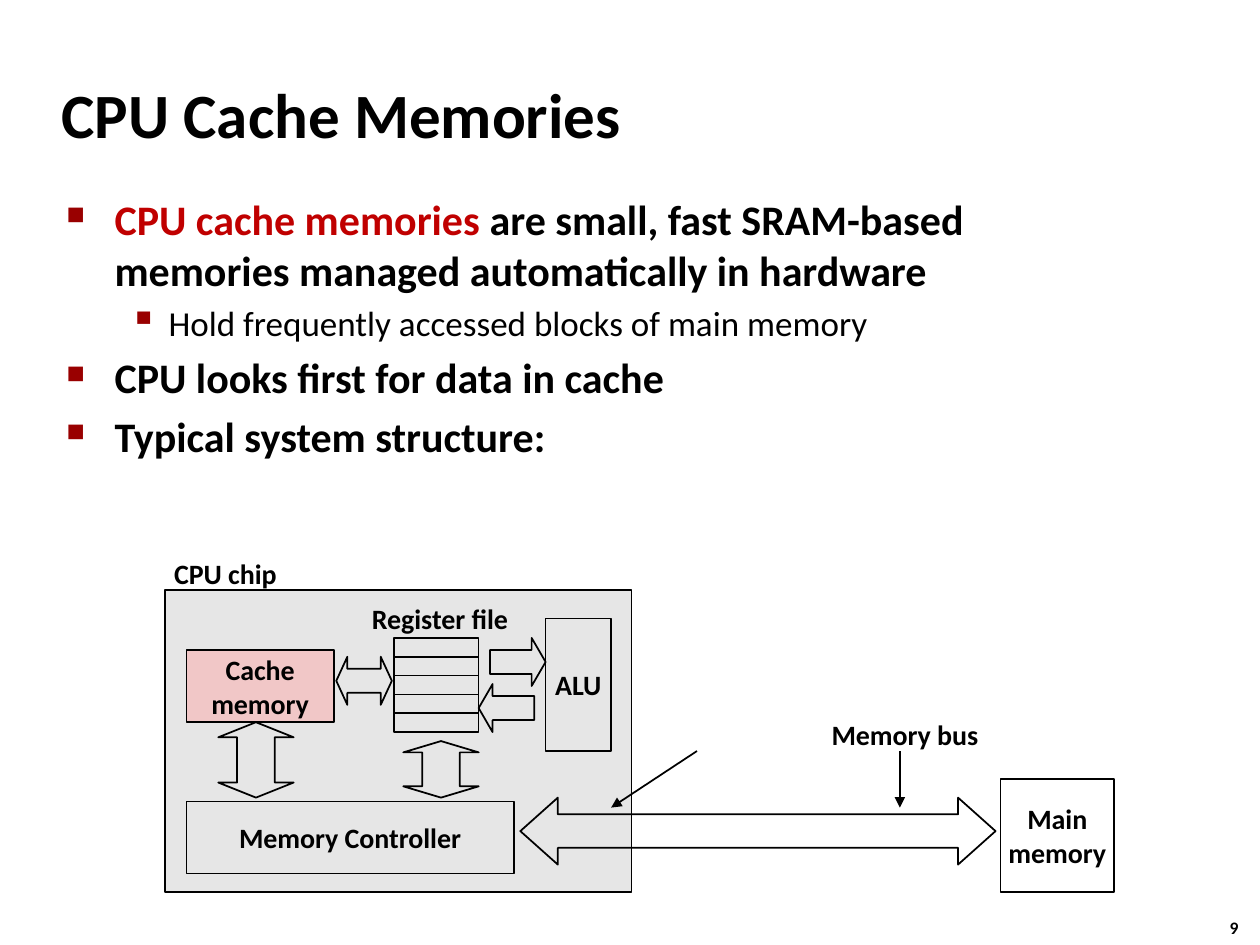
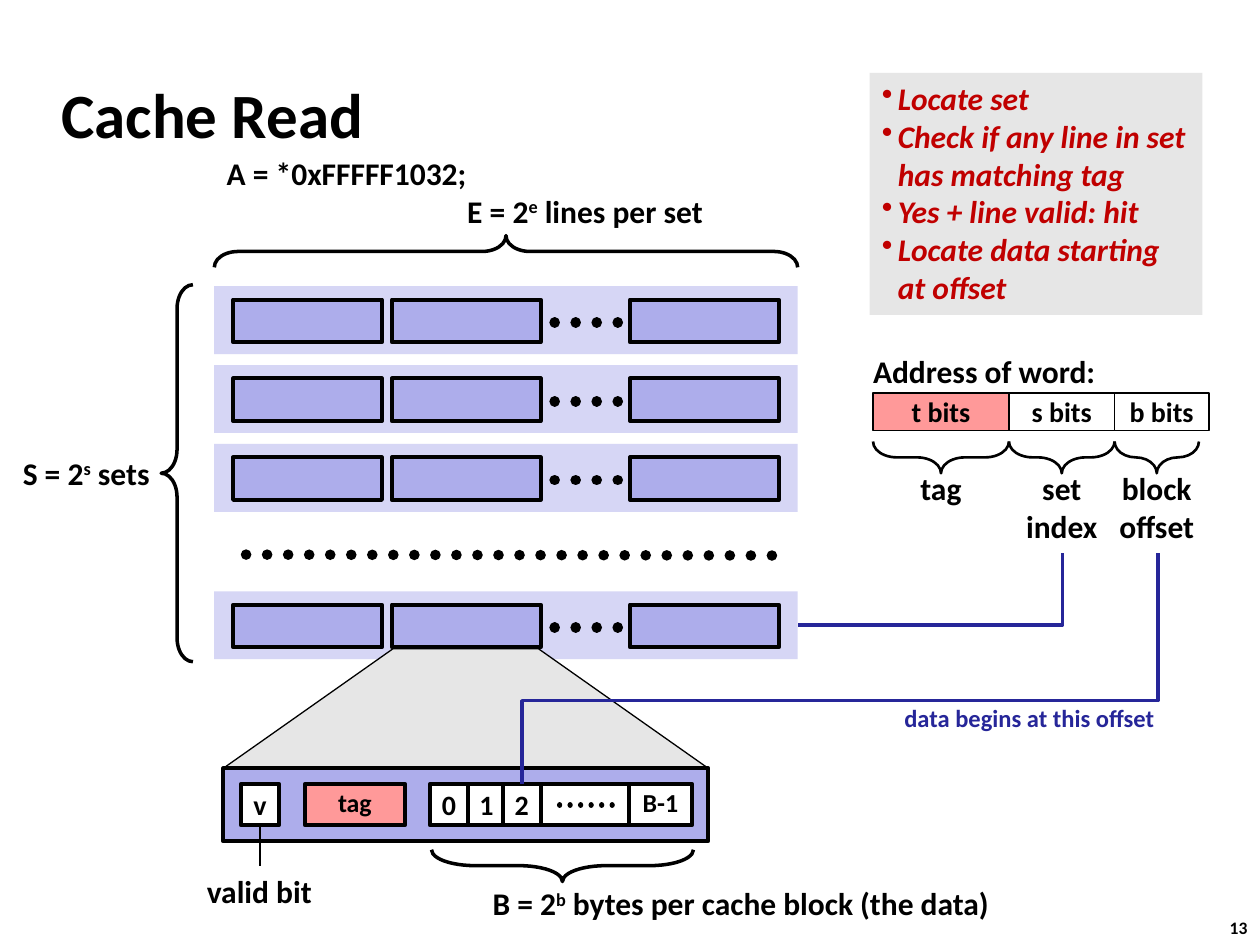
"""Build two slides on CPU cache memories and reading a cache."""
from lxml import etree
from pptx import Presentation
from pptx import util as u
from pptx.dml import color as col
from pptx.enum import dml, shapes, text
from pptx.oxml import ns

BLACK = col.RGBColor(0x00, 0x00, 0x00)
WHITE = col.RGBColor(0xFF, 0xFF, 0xFF)
GREY = col.RGBColor(0xE6, 0xE6, 0xE6)
RED = col.RGBColor(0xC0, 0x00, 0x00)
PINK = col.RGBColor(0xF1, 0xC7, 0xC7)
ROSE = col.RGBColor(0xFF, 0x99, 0x99)
LILAC = col.RGBColor(0xAD, 0xAD, 0xEB)
PALE = col.RGBColor(0xD6, 0xD6, 0xF5)
NAVY = col.RGBColor(0x26, 0x26, 0x99)
MARK = "990000"

KIND = shapes.MSO_SHAPE
LINK = shapes.MSO_CONNECTOR
LEFT, MID = text.PP_ALIGN.LEFT, text.PP_ALIGN.CENTER
FONT = {"name": "Calibri", "size": 16, "bold": True, "italic": False}


def style(item, vals):
    """Set each attribute named in a dict."""
    for key, val in vals.items():
        setattr(item, key, val)


def node(root, tag, **vals):
    """Append a drawing element with the given attributes."""
    return etree.SubElement(root, ns.qn("a:" + tag), vals)


def paint(para, color=BLACK, **vals):
    """Give every run of a paragraph the same font."""
    form = {**FONT, **vals}
    form["size"] = u.Pt(form["size"])
    for run in para.runs:
        style(run.font, form)
        run.font.color.rgb = color


def write(item, lines, align=MID, wrap=False, mid=True, **vals):
    """Write paragraphs, raising the parts set between carets."""
    frame = item.text_frame
    anchor = text.MSO_ANCHOR.MIDDLE if mid else text.MSO_ANCHOR.TOP
    style(frame, {"word_wrap": wrap, "vertical_anchor": anchor})
    for i, line in enumerate(lines):
        para = frame.add_paragraph() if i else frame.paragraphs[0]
        para.alignment = align
        para.text, *rest = line.split("^")
        for j, part in enumerate(rest):
            run = para.add_run()
            run.text = part
            if j % 2 == 0:
                run.font._element.set("baseline", "30000")
        paint(para, **vals)


def bullet(para, char, left, hang, pct=None):
    """Give a paragraph a hanging bullet."""
    props = para._p.get_or_add_pPr()
    props.set("marL", str(u.Cm(left)))
    props.set("indent", str(-u.Cm(hang)))
    if pct:
        node(node(props, "buClr"), "srgbClr", val=MARK)
        node(props, "buSzPct", val=str(pct * 1000))
    node(props, "buChar", char=char)


def spot(box, *dims):
    """Turn a place inside a box into slide lengths."""
    x, y, *size = dims
    return [u.Cm(v) for v in (box[0] + x, box[1] + y, *size)]


def shape(on, box, dims, kind=KIND.RECTANGLE, fill=None, edge=1, adj=(), turn=0, lines=(), **vals):
    """Draw a preset shape that fills its place after a quarter turn."""
    if turn:
        x, y, w, h = dims
        dims = (x + (w - h) / 2, y + (h - w) / 2, h, w)
    item = on.add_shape(kind, *spot(box, *dims))
    item.rotation = turn
    item.shadow.inherit = False
    if fill is None:
        item.fill.background()
    else:
        item.fill.solid()
        item.fill.fore_color.rgb = fill
    if edge:
        item.line.color.rgb = BLACK
        item.line.width = u.Pt(edge)
    else:
        item.line.fill.background()
    for i, val in enumerate(adj):
        item.adjustments[i] = val
    if lines:
        write(item, lines, **vals)
    return item


def label(on, box, dims, *lines, **vals):
    """Add a text box."""
    item = on.add_textbox(*spot(box, *dims))
    write(item, lines, **{"align": LEFT, "mid": False, "size": 18, **vals})
    return item


def brace(on, box, dims, turn=0, edge=2, bend=0.75):
    """Draw a brace, turned if wanted."""
    shape(on, box, dims, KIND.LEFT_BRACE, edge=edge, adj=(bend, 0.5), turn=turn)


def line(on, box, start, end, edge=1, color=BLACK, head=False, dots=False, kind=LINK.STRAIGHT):
    """Draw a connector, with an arrowhead or as round dots."""
    item = on.add_connector(kind, *spot(box, *start), *spot(box, *end))
    node(item._element.spPr, "effectLst")
    item.line.color.rgb = color
    item.line.width = u.Pt(edge)
    stroke = item._element.spPr.find(ns.qn("a:ln"))
    if dots:
        item.line.dash_style = dml.MSO_LINE.ROUND_DOT
        stroke.set("cap", "rnd")
    if head:
        node(stroke, "tailEnd", type="triangle")
    return item


def elbow(on, box, start, end, bend=None):
    """Draw an elbow that leaves downward and ends lower on the left."""
    (x, y), (left, low) = start, end
    w, h = low - y, x - left
    cx, cy = (x + left) / 2, (y + low) / 2
    item = line(on, box, (cx - w / 2, cy - h / 2), (cx + w / 2, cy + h / 2),
                2, NAVY, kind=LINK.ELBOW)
    props = item._element.spPr
    props.find(ns.qn("a:xfrm")).set("rot", "5400000")
    geom = props.find(ns.qn("a:prstGeom"))
    if bend is None:
        geom.set("prst", "bentConnector2")
    else:
        for old in list(geom):
            geom.remove(old)
        node(node(geom, "avLst"), "gd", name="adj1", fmla=f"val {round(bend * 100000)}")


def base(deck, title, num):
    """Start a slide with its title and page number."""
    on = deck.slides.add_slide(deck.slide_layouts[6]).shapes
    label(on, (0.99, 1.22), (0, 0, 21.08, 2.11), title, size=36, mid=True, wrap=True)
    label(on, (24.54, 18.36), (0, 0, 0.94, 0.69), num, size=10)
    return on


def points(on, box):
    """Write the bullet list about cache memories."""
    rows = [
        (0, "CPU cache memories ^are small, fast SRAM-based memories managed automatically in hardware"),
        (1, "Hold frequently accessed blocks of main memory"),
        (0, "CPU looks first for data in cache"),
        (0, "Typical system structure:"),
    ]
    item = label(on, box, (0, 0, 21.95, 13.82), *(row for _, row in rows), wrap=True)
    for i, (para, (deep, _)) in enumerate(zip(item.text_frame.paragraphs, rows)):
        bullet(para, *(("▪", 2.06, 0.79, 110) if deep else ("■", 0.97, 0.97, 60)))
        size = 20 if deep else 24
        paint(para, size=size, bold=not deep)
        if i:
            para.space_before = u.Pt(size / 5)
    lead, tail = item.text_frame.paragraphs[0].runs
    lead.font.color.rgb = RED
    tail.font._element.attrib.pop("baseline")


def chip(on, box):
    """Draw the CPU chip, its parts and the memory bus."""
    shape(on, box, (0, 0, 9.4, 6.1), fill=GREY)
    parts = [
        ((16.84, 3.81, 2.29, 2.29), None, ("Main", "memory")),
        ((0.43, 4.27, 6.6, 1.45), None, ("Memory Controller",)),
        ((7.67, 0.58, 1.32, 2.67), None, ("ALU",)),
        ((0.43, 1.22, 2.97, 1.45), PINK, ("Cache", "memory")),
    ]
    for dims, fill, lines in parts:
        shape(on, box, dims, fill=fill, lines=lines)
    for i in range(5):
        shape(on, box, (4.62, 0.97 + 0.38 * i, 1.7, 0.38))
    arrows = [
        (KIND.LEFT_RIGHT_ARROW, (7.16, 4.19, 9.58, 1.35), 0.56, 0),
        (KIND.LEFT_RIGHT_ARROW, (3.45, 1.35, 1.12, 0.97), 0.23, 0),
        (KIND.RIGHT_ARROW, (6.55, 0.97, 1.12, 0.97), 0.29, 0),
        (KIND.LEFT_ARROW, (6.32, 1.9, 1.12, 0.97), 0.29, 0),
        (KIND.LEFT_RIGHT_ARROW, (4.8, 3.05, 1.52, 1.14), 0.2, 90),
        (KIND.LEFT_RIGHT_ARROW, (1.07, 2.67, 1.52, 1.52), 0.2, 90),
    ]
    for kind, dims, tip, turn in arrows:
        shape(on, box, dims, kind, adj=(0.5, tip), turn=turn)
    for x, y, w, name in [(-0.08, -0.81, 2.59, "CPU chip"), (3.89, 0.1, 3.3, "Register file"),
                          (13.16, 2.44, 3.51, "Memory bus")]:
        label(on, box, (x, y, w, 0.94), name, size=16, align=MID, mid=True)
    for x, end in [(10.72, 8.99), (14.81, 14.81)]:
        line(on, box, (x, 3.25), (end, 4.39), head=True)


def sets(on, box):
    """Draw the rows of sets with their braces and labels."""
    for y in (0, 1.59, 3.18, 6.15):
        row = on.add_group_shape().shapes
        shape(row, box, (0, y, 11.76, 1.37), fill=PALE, edge=0)
        for x in (0.38, 3.58, 8.38):
            shape(row, box, (x, y + 0.27, 3, 0.86), fill=LILAC, edge=2.25)
        line(row, box, (6.86, y + 0.73), (8.41, y + 0.73), 6, dots=True)
    line(on, box, (0.64, 5.41), (11.4, 5.43), 6, dots=True)
    brace(on, box, (0, -1.02, 11.76, 0.64), 90)
    brace(on, box, (-1.07, -0.03, 0.64, 7.6))
    label(on, box, (4.85, -2.03, 5.44, 1.02), "E = 2^e^ lines per set")
    label(on, box, (-4.11, 3.25, 3.12, 1.02), "S = 2^s^ sets")
    label(on, box, (0, -2.79, 7.54, 1.02), "A = *0xFFFFF1032;", wrap=True)


def block(on, box):
    """Draw one cache line opened up into its fields."""
    shape(on, box, (0, 0, 9.78, 2.41), KIND.TRAPEZOID, GREY, 0.75, (1.42,))
    shape(on, box, (0, 2.41, 9.78, 1.47), fill=LILAC, edge=2.25)
    cells = [
        (4.17, 0.76, "0", 16), (4.93, 0.76, "1", 16), (5.64, 0.76, "2", 16),
        (8.18, 1.27, "B-1", 14.8), (6.4, 1.78, "", 16), (1.65, 2.01, "tag", 14.8),
        (0.36, 0.76, "v", 16),
    ]
    for x, w, name, size in cells:
        cell = shape(on, box, (x, 2.72, w, 0.84), fill=ROSE if name == "tag" else WHITE,
                     edge=2.25, lines=[name] if name else (), size=size)
        if size < 16:
            cell.text_frame.paragraphs[0].line_spacing = 0.9
    line(on, box, (6.78, 3.15), (8.05, 3.15), 3, dots=True)
    valid = label(on, box, (-0.58, 4.37, 2.64, 1.02), "valid bit")
    stem = line(on, box, (0.74, 4.37), (0.74, 3.56), 0.75)
    stem.begin_connect(valid, 0)
    stem.end_connect(cell, 2)
    brace(on, box, (4.2, 4.05, 5.28, 0.64), 270, bend=1.37)
    label(on, box, (5.18, 4.62, 10.64, 1.02), "B = 2^b^ bytes per cache block (the data)")


def address(on, box):
    """Draw the address fields and link them to the cache."""
    label(on, box, (-0.25, -0.94, 5.03, 1.02), "Address of word:")
    fields = [
        ("t bits", 2.74, 2.74, ROSE, 1.35, ("tag",)),
        ("s bits", 2.13, 2.13, WHITE, 1.96, ("set", "index")),
        ("b bits", 1.9, 1.7, WHITE, 2.06, ("block", "offset")),
    ]
    x = 0
    for name, w, span, fill, wide, lines in fields:
        shape(on, box, (x, 0, w, 0.76), fill=fill, lines=[name], wrap=True)
        brace(on, box, (x, 0.98, span, 0.64), 270, 1.5)
        label(on, box, (x + (span - wide) / 2, 1.42, wide, 1.8), *lines, align=MID)
        x += w
    elbow(on, box, (3.82, 3.23), (-1.52, 4.68))
    elbow(on, box, (5.74, 3.23), (-7.08, 7.88), 0.64)
    label(on, box, (0.38, 6.12, 5.59, 0.86), "data begins at this offset", size=14, color=NAVY)


def steps(on, box):
    """List the steps of a cache read in a grey panel."""
    rows = ("Locate set", "Check if any line in set\vhas matching tag",
            "Yes + line valid: hit", "Locate data starting\vat offset")
    item = shape(on, box, (0, 0, 6.71, 4.88), fill=GREY, edge=0, lines=rows, align=LEFT,
                 mid=False, size=18, italic=True, color=RED)
    for para in item.text_frame.paragraphs:
        bullet(para, "•", 0.32, 0.32)


def main():
    """Build and save the deck."""
    deck = Presentation()
    style(deck, {"slide_width": u.Cm(25.4), "slide_height": u.Cm(19.05)})
    on = base(deck, "CPU Cache Memories", "9")
    points(on, (1.09, 3.78))
    chip(on, (3.33, 11.89))
    on = base(deck, "Cache Read", "13")
    sets(on, (4.32, 5.77))
    block(on, (4.5, 13.08))
    address(on, (17.6, 7.92))
    steps(on, (17.53, 1.47))
    deck.save("out.pptx")


if __name__ == "__main__":
    main()
